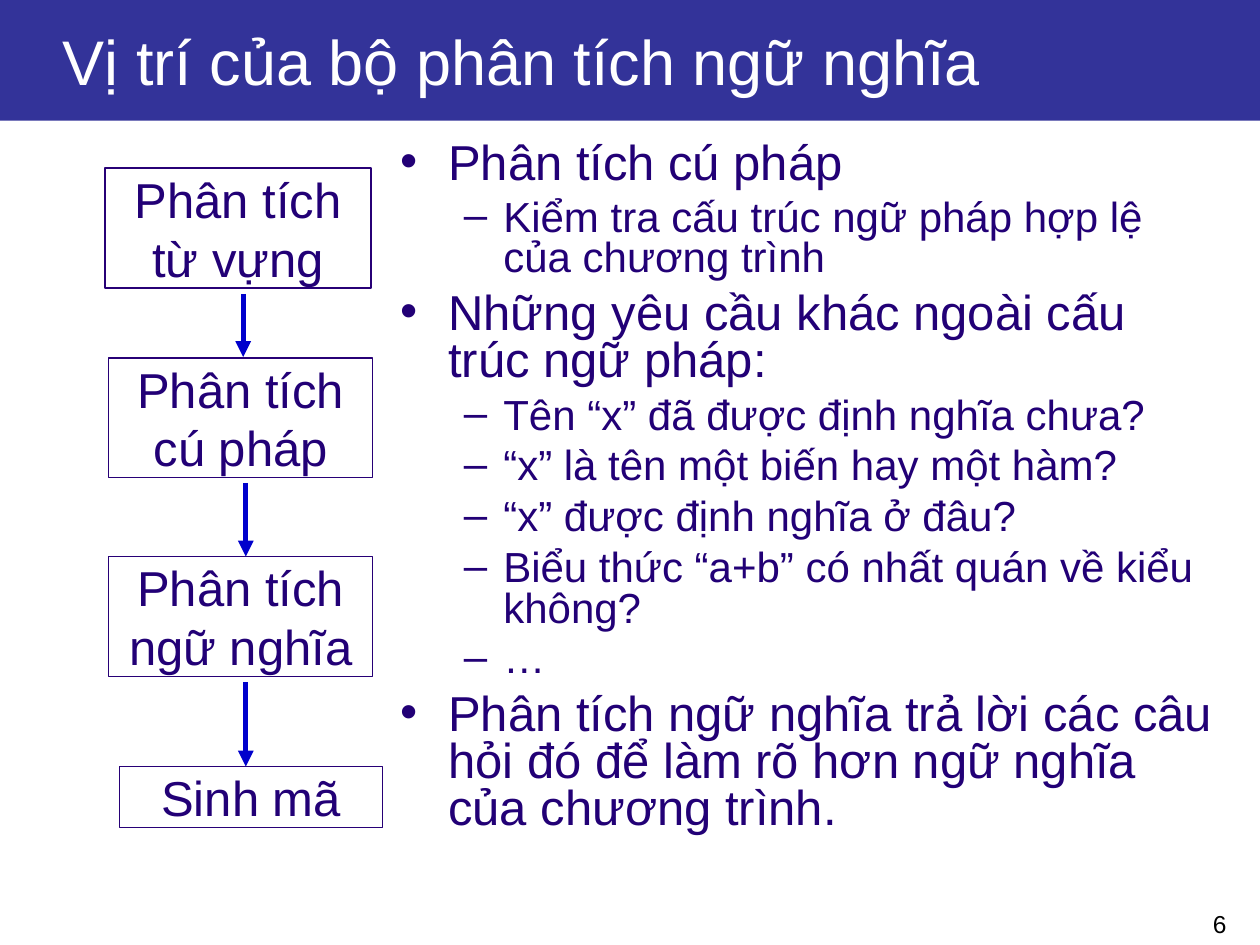
from lxml import etree
from pptx import Presentation
from pptx.dml.color import RGBColor
from pptx.enum.shapes import MSO_CONNECTOR, MSO_SHAPE
from pptx.enum.text import MSO_ANCHOR, MSO_AUTO_SIZE, PP_ALIGN
from pptx.oxml.ns import qn
from pptx.util import Pt

RECTANGLE = MSO_SHAPE.RECTANGLE
STRAIGHT = MSO_CONNECTOR.STRAIGHT
TOP, MIDDLE = MSO_ANCHOR.TOP, MSO_ANCHOR.MIDDLE
LEFT, CENTER, RIGHT = PP_ALIGN.LEFT, PP_ALIGN.CENTER, PP_ALIGN.RIGHT
GROW = MSO_AUTO_SIZE.SHAPE_TO_FIT_TEXT

FONT = "Arial"
INK, BORDER, ARROW = "220076", "270076", "0000CC"
BANNER, WHITE, BLACK = "333399", "FFFFFF", "000000"

LEVELS = [
    {"size": 28, "before": 7, "margin": 27, "indent": -27, "bullet": "•"},
    {"size": 24, "before": 6, "margin": 58.5, "indent": -22.5, "bullet": "–"},
]
POINTS = [
    (0, "Phân tích cú pháp"),
    (1, "Kiểm tra cấu trúc ngữ pháp hợp lệ của chương trình"),
    (0, "Những yêu cầu khác ngoài cấu trúc ngữ pháp:"),
    (1, "Tên “x” đã được định nghĩa chưa?"),
    (1, "“x” là tên một biến hay một hàm?"),
    (1, "“x” được định nghĩa ở đâu?"),
    (1, "Biểu thức “a+b” có nhất quán về kiểu không?"),
    (1, "…"),
    (0, "Phân tích ngữ nghĩa trả lời các câu hỏi đó để làm rõ hơn ngữ nghĩa của chương trình."),
]
STAGES = [
    ("Phân tích từ vựng", 60, 96, 152, 68.5),
    ("Phân tích cú pháp", 62, 204.5, 151, 68.5),
    ("Phân tích ngữ nghĩa", 62, 318, 151, 68.5),
    ("Sinh mã", 68.5, 438, 150, 35),
]
ARROWS = [(139, 168, 204), (140.5, 276, 318), (140.5, 390, 438)]


def colour(value):
    """Return the colour for a hex string."""
    return RGBColor.from_string(value)


def set_values(target, values):
    """Set each attribute named in a dict of format values."""
    for name, value in values.items():
        setattr(target, name, value)


def write(para, text, size, ink, align=LEFT, **spacing):
    """Write one formatted span into a paragraph."""
    set_values(para, {"alignment": align, **spacing})
    span = para.add_run()
    span.text = text
    set_values(span.font, {"size": Pt(size), "name": FONT})
    span.font.color.rgb = colour(ink)


def format_frame(frame, anchor=TOP, left=7.2, vertical=3.6):
    """Set wrapping, anchor and margins of a text frame."""
    set_values(frame, {
        "word_wrap": True, "vertical_anchor": anchor,
        "margin_left": Pt(left), "margin_right": Pt(7.2),
        "margin_top": Pt(vertical), "margin_bottom": Pt(vertical),
    })


def add_text_box(page, *bounds):
    """Add a wrapping text box and return its frame."""
    frame = page.shapes.add_textbox(*map(Pt, bounds)).text_frame
    format_frame(frame)
    return frame


def add_rectangle(page, *bounds):
    """Add a rectangle without shadow."""
    box = page.shapes.add_shape(RECTANGLE, *map(Pt, bounds))
    box.shadow.inherit = False
    return box


def add_title(page, text):
    """Add the filled title banner."""
    banner = add_rectangle(page, 0, 0, 720, 69)
    banner.fill.solid()
    banner.fill.fore_color.rgb = colour(BANNER)
    banner.line.fill.background()
    format_frame(banner.text_frame, MIDDLE, left=36)
    write(banner.text_frame.paragraphs[0], text, 36, WHITE)


def add_stage(page, text, *bounds):
    """Add one outlined compiler stage."""
    box = add_rectangle(page, *bounds)
    box.fill.background()
    box.line.color.rgb = colour(BORDER)
    box.line.width = Pt(0.75)
    format_frame(box.text_frame, vertical=0.72)
    box.text_frame.auto_size = GROW
    write(box.text_frame.paragraphs[0], text, 28, INK, CENTER, space_before=Pt(17.5))


def add_arrow(page, x, top, bottom):
    """Add a downward arrow between two stages."""
    arrow = page.shapes.add_connector(STRAIGHT, Pt(x), Pt(top), Pt(x), Pt(bottom))
    arrow.line.color.rgb = colour(ARROW)
    arrow.line.width = Pt(3)
    etree.SubElement(arrow.line._get_or_add_ln(), qn("a:tailEnd"), type="triangle")
    etree.SubElement(arrow._element.spPr, qn("a:effectLst"))


def add_bullet(para, level, text):
    """Write a bulleted paragraph at the given level."""
    style = LEVELS[level]
    write(para, text, style["size"], INK, level=level,
          line_spacing=0.8, space_before=Pt(style["before"]))
    props = para._p.get_or_add_pPr()
    props.set("marL", str(Pt(style["margin"])))
    props.set("indent", str(Pt(style["indent"])))
    bullet_colour = etree.SubElement(props, qn("a:buClr"))
    etree.SubElement(bullet_colour, qn("a:srgbClr"), val=INK)
    etree.SubElement(props, qn("a:buFont"), typeface=FONT)
    etree.SubElement(props, qn("a:buChar"), char=style["bullet"])


def add_points(page):
    """Add the bulleted explanation."""
    frame = add_text_box(page, 222, 78, 480, 444)
    for index, (level, text) in enumerate(POINTS):
        para = frame.add_paragraph() if index else frame.paragraphs[0]
        add_bullet(para, level, text)


def main():
    """Build and save the deck."""
    deck = Presentation()
    set_values(deck, {"slide_width": Pt(720), "slide_height": Pt(540)})
    page = deck.slides.add_slide(deck.slide_layouts[6])
    number = add_text_box(page, 558, 516, 150, 17.5)
    write(number.paragraphs[0], "6", 14, BLACK, RIGHT)
    add_title(page, "Vị trí của bộ phân tích ngữ nghĩa")
    add_points(page)
    for stage in STAGES:
        add_stage(page, *stage)
    for arrow in ARROWS:
        add_arrow(page, *arrow)
    deck.save("out.pptx")


if __name__ == "__main__":
    main()
